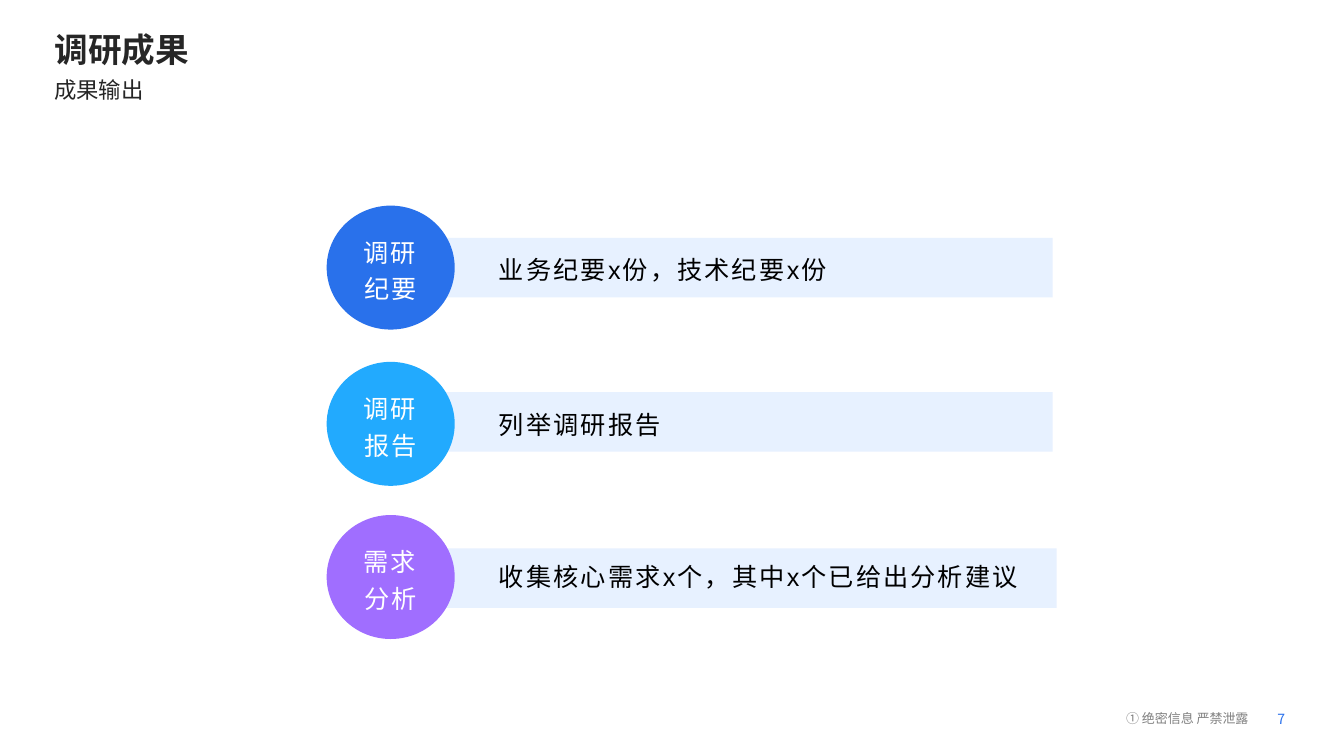
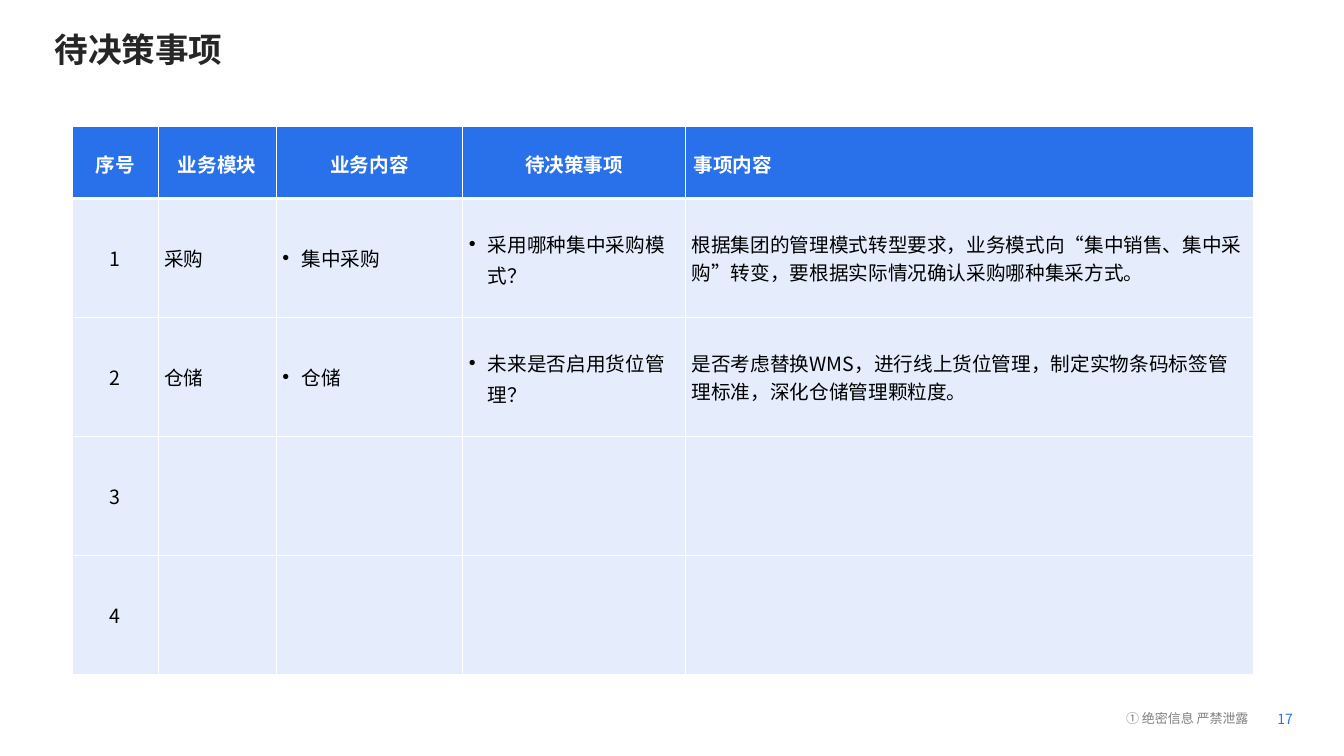
from dataclasses import dataclass
from typing import Any

from lxml import etree
from pptx import Presentation
from pptx.dml.color import RGBColor
from pptx.enum.shapes import MSO_SHAPE
from pptx.enum.text import MSO_ANCHOR, MSO_AUTO_SIZE, PP_ALIGN
from pptx.oxml.ns import qn
from pptx.util import Inches, Pt

RECTANGLE, OVAL = MSO_SHAPE.RECTANGLE, MSO_SHAPE.OVAL
MIDDLE, NO_FIT = MSO_ANCHOR.MIDDLE, MSO_AUTO_SIZE.NONE
LEFT, CENTER = PP_ALIGN.LEFT, PP_ALIGN.CENTER
TITLE_ONLY = 5

COLORS = {
    "blue": "2971EB", "sky": "22AAFE", "violet": "A06EFF",
    "bar": "E7F1FF", "cell": "E5EDFC", "white": "FFFFFF",
    "black": "000000", "ink": "262626", "gray": "808080", "number": "2A71EC",
}
SANS, CHINESE = "Arial", "Noto Sans CJK SC"


@dataclass(frozen=True)
class TextStyle:
    size: float
    color: str
    bold: bool = False
    font: str = CHINESE
    tracking: int = 0


@dataclass(frozen=True)
class Result:
    label: str
    detail: str
    color: str
    circle_top: float
    bar_top: float
    text_top: float
    bar_width: float = 6.07


@dataclass(frozen=True)
class Column:
    heading: str
    width: float
    heading_align: Any = CENTER
    align: Any = LEFT
    bullet: bool = False
    line_spacing: float = 1.0
    space_after: float = 0


TITLE = TextStyle(24, "ink", True)
SUBTITLE = TextStyle(16, "ink")
FOOTER = TextStyle(9.3, "gray")
NUMBER = TextStyle(10, "number")
CIRCLE = TextStyle(18, "white", font=SANS, tracking=150)
DETAIL = TextStyle(18, "black", font=SANS, tracking=150)
HEADING = TextStyle(14, "white", True)
BODY = TextStyle(14, "black")

RESULTS = [
    Result("调研纪要", "业务纪要x份，技术纪要x份", "blue", 2.04, 2.36, 2.37),
    Result("调研报告", "列举调研报告", "sky", 3.59, 3.89, 3.91),
    Result("需求分析", "收集核心需求x个，其中x个已给出分析建议", "violet", 5.11, 5.44, 5.42, 6.11),
]
COLUMNS = [
    Column("序号", 0.85, align=CENTER, space_after=10),
    Column("业务模块", 1.17, space_after=10),
    Column("业务内容", 1.85, bullet=True, space_after=10),
    Column("待决策事项", 2.21, bullet=True, line_spacing=1.1),
    Column("事项内容", 5.63, heading_align=LEFT),
]
DECISIONS = [
    ["1", "采购", "集中采购", "采用哪种集中采购模式？",
     "根据集团的管理模式转型要求，业务模式向“集中销售、集中采购”转变，要根据实际情况确认采购哪种集采方式。"],
    ["2", "仓储", "仓储", "未来是否启用货位管理？",
     "是否考虑替换WMS，进行线上货位管理，制定实物条码标签管理标准，深化仓储管理颗粒度。"],
    ["3", "", "", "", ""],
    ["4", "", "", "", ""],
]
HEADER_HEIGHT, ROW_HEIGHT = 0.72, 1.18


def color(name: str) -> RGBColor:
    return RGBColor.from_string(COLORS[name])


def apply(target: Any, values: dict[str, Any]) -> None:
    for name, value in values.items():
        setattr(target, name, value)


def add_bullet(paragraph: Any) -> None:
    properties = paragraph._p.get_or_add_pPr()
    properties.set("marL", str(Inches(0.19)))
    properties.set("indent", str(-Inches(0.19)))
    etree.SubElement(properties, qn("a:buFont")).set("typeface", SANS)
    etree.SubElement(properties, qn("a:buChar")).set("char", "•")


def write(frame: Any, text: str, style: TextStyle, bullet: bool = False, **layout: Any) -> None:
    paragraph = frame.paragraphs[0]
    if bullet:
        add_bullet(paragraph)
    apply(paragraph, layout)
    span = paragraph.add_run()
    span.text = text
    apply(span.font, {"size": Pt(style.size), "bold": style.bold, "name": style.font})
    span.font.color.rgb = color(style.color)
    properties = span.font._element
    etree.SubElement(properties, qn("a:ea")).set("typeface", CHINESE)
    if style.tracking:
        properties.set("spc", str(style.tracking))


def set_frame(frame: Any, horizontal: float = 0.1, vertical: float = 0.05, wrap: bool = True) -> None:
    apply(frame, {
        "margin_left": Inches(horizontal), "margin_right": Inches(horizontal),
        "margin_top": Inches(vertical), "margin_bottom": Inches(vertical),
        "vertical_anchor": MIDDLE, "word_wrap": wrap, "auto_size": NO_FIT,
    })


def add_text(page: Any, bounds: tuple[float, float, float, float], text: str, style: TextStyle,
             margins: tuple[float, float] = (0.1, 0.05), wrap: bool = True, **layout: Any) -> None:
    box = page.shapes.add_textbox(*map(Inches, bounds))
    set_frame(box.text_frame, *margins, wrap)
    write(box.text_frame, text, style, **layout)


def add_filled(page: Any, kind: Any, bounds: tuple[float, float, float, float], fill: str) -> Any:
    shape = page.shapes.add_shape(kind, *map(Inches, bounds))
    shape.shadow.inherit = False
    shape.fill.solid()
    shape.fill.fore_color.rgb = color(fill)
    shape.line.fill.background()
    return shape


def add_page(deck: Any, title: str, number: int) -> Any:
    page = deck.slides.add_slide(deck.slide_layouts[TITLE_ONLY])
    box = page.shapes.title
    apply(box, {"left": Inches(0.44), "top": Inches(0.23), "width": Inches(10.6), "height": Inches(0.51)})
    set_frame(box.text_frame)
    write(box.text_frame, title, TITLE, alignment=LEFT)
    add_text(page, (12.67, 7.05, 0.23, 0.17), str(number), NUMBER, (0, 0), False)
    add_text(page, (11.16, 7.02, 1.3, 0.19), "① 绝密信息 严禁泄露", FOOTER, (0.01, 0.01), False,
             line_spacing=Pt(13.3))
    return page


def add_result(page: Any, result: Result) -> None:
    add_filled(page, RECTANGLE, (4.37, result.bar_top, result.bar_width, 0.59), "bar")
    circle = add_filled(page, OVAL, (3.24, result.circle_top, 1.27, 1.23), result.color)
    set_frame(circle.text_frame)
    write(circle.text_frame, result.label, CIRCLE, alignment=CENTER, line_spacing=1.2)
    add_text(page, (4.85, result.text_top, 5.61, 0.54), result.detail, DETAIL, line_spacing=1.2)


def set_borders(cell: Any, top: float, bottom: float) -> None:
    properties = cell._tc.get_or_add_tcPr()
    widths = {"a:lnL": 1, "a:lnR": 1, "a:lnT": top, "a:lnB": bottom}
    for position, (tag, width) in enumerate(widths.items()):
        line = etree.Element(qn(tag), w=str(Pt(width)))
        fill = etree.SubElement(line, qn("a:solidFill"))
        etree.SubElement(fill, qn("a:srgbClr")).set("val", COLORS["white"])
        properties.insert(position, line)


def format_cell(cell: Any, fill: str, horizontal: float, vertical: float, top: float, bottom: float) -> None:
    apply(cell, {
        "margin_left": Inches(horizontal), "margin_right": Inches(horizontal),
        "margin_top": Inches(vertical), "margin_bottom": Inches(vertical),
        "vertical_anchor": MIDDLE,
    })
    cell.fill.solid()
    cell.fill.fore_color.rgb = color(fill)
    set_borders(cell, top, bottom)


def add_decision_table(page: Any) -> None:
    height = HEADER_HEIGHT + ROW_HEIGHT * len(DECISIONS)
    width = sum(column.width for column in COLUMNS)
    table = page.shapes.add_table(len(DECISIONS) + 1, len(COLUMNS), Inches(0.72), Inches(1.25),
                                  Inches(width), Inches(height)).table
    table.horz_banding = False
    for row_index, row in enumerate(table.rows):
        row.height = Inches(ROW_HEIGHT if row_index else HEADER_HEIGHT)
    for column_index, column in enumerate(COLUMNS):
        table.columns[column_index].width = Inches(column.width)
        heading = table.cell(0, column_index)
        format_cell(heading, "blue", 0.08, 0.04, 1, 3)
        write(heading.text_frame, column.heading, HEADING, alignment=column.heading_align,
              line_spacing=1.1, space_after=Pt(6))
        for row_index, decision in enumerate(DECISIONS, 1):
            cell = table.cell(row_index, column_index)
            format_cell(cell, "cell", 0.06, 0, 3 if row_index == 1 else 1, 1)
            if decision[column_index]:
                write(cell.text_frame, decision[column_index], BODY, column.bullet,
                      alignment=column.align, line_spacing=column.line_spacing,
                      space_after=Pt(column.space_after))


def build_results(deck: Any) -> None:
    page = add_page(deck, "调研成果", 7)
    add_text(page, (0.44, 0.75, 8.52, 0.31), "成果输出", SUBTITLE, line_spacing=0.9)
    for result in RESULTS:
        add_result(page, result)


def build_decisions(deck: Any) -> None:
    page = add_page(deck, "待决策事项", 17)
    add_decision_table(page)


def main() -> None:
    deck = Presentation()
    apply(deck, {"slide_width": Inches(13.33), "slide_height": Inches(7.5)})
    build_results(deck)
    build_decisions(deck)
    deck.save("out.pptx")


if __name__ == "__main__":
    main()
